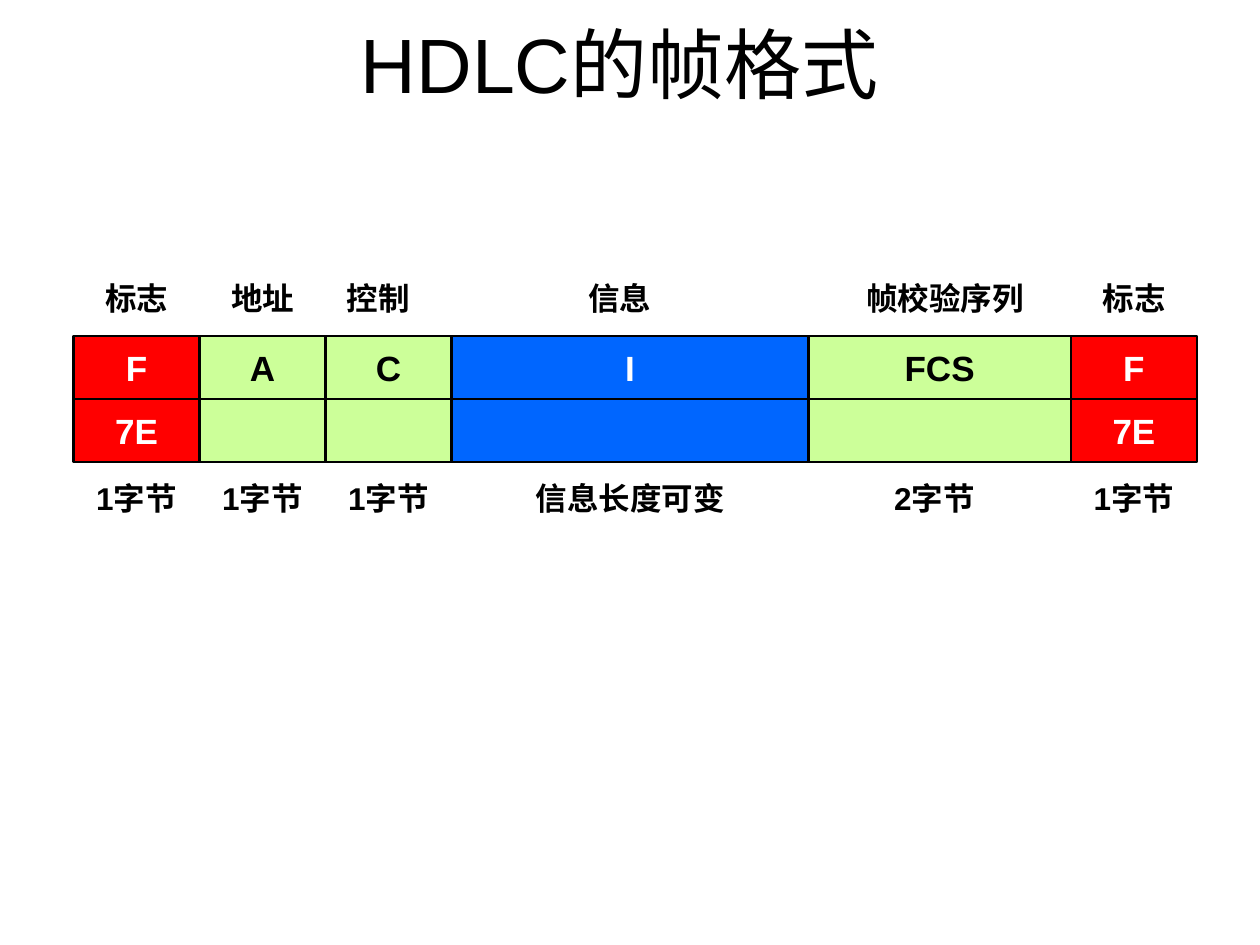
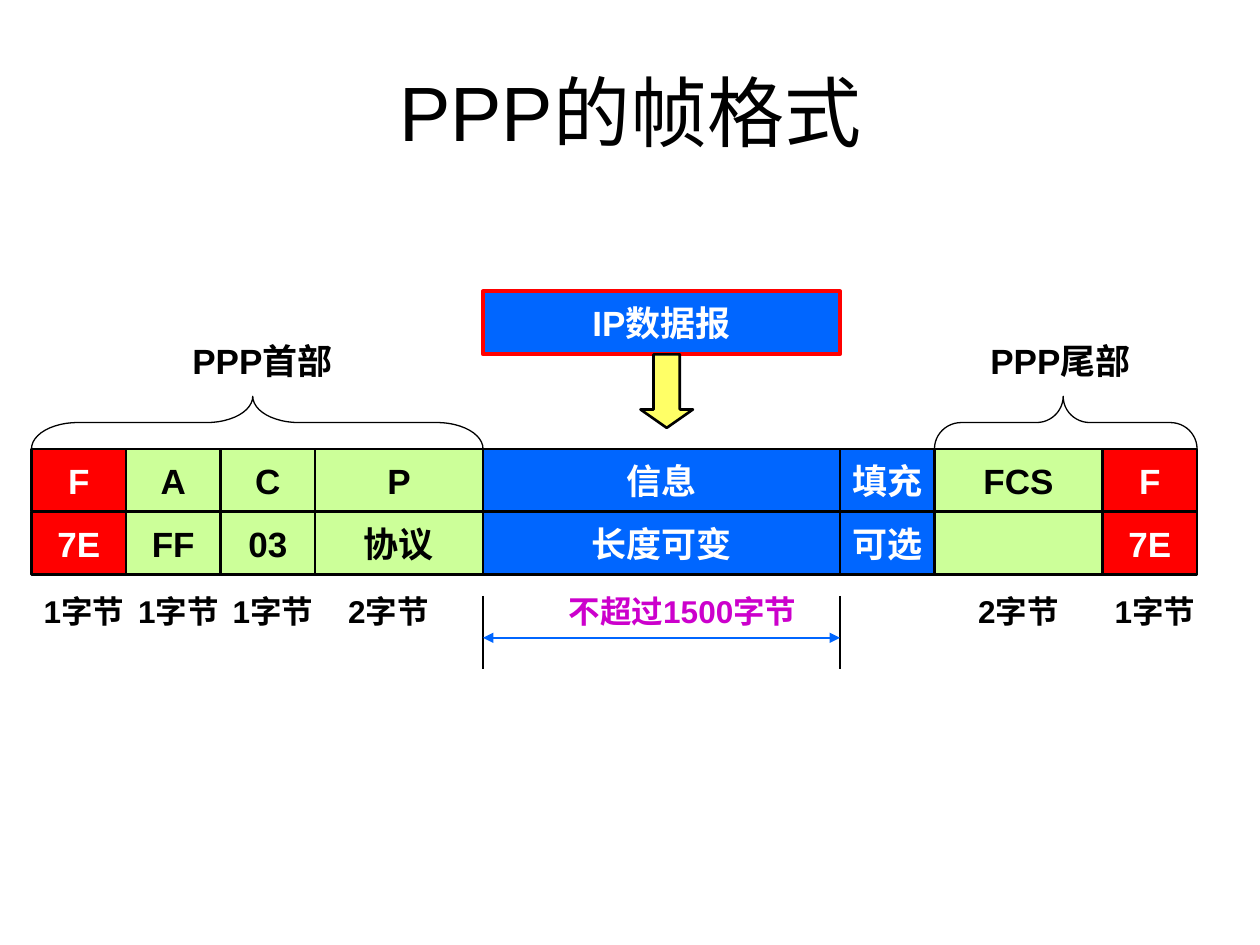
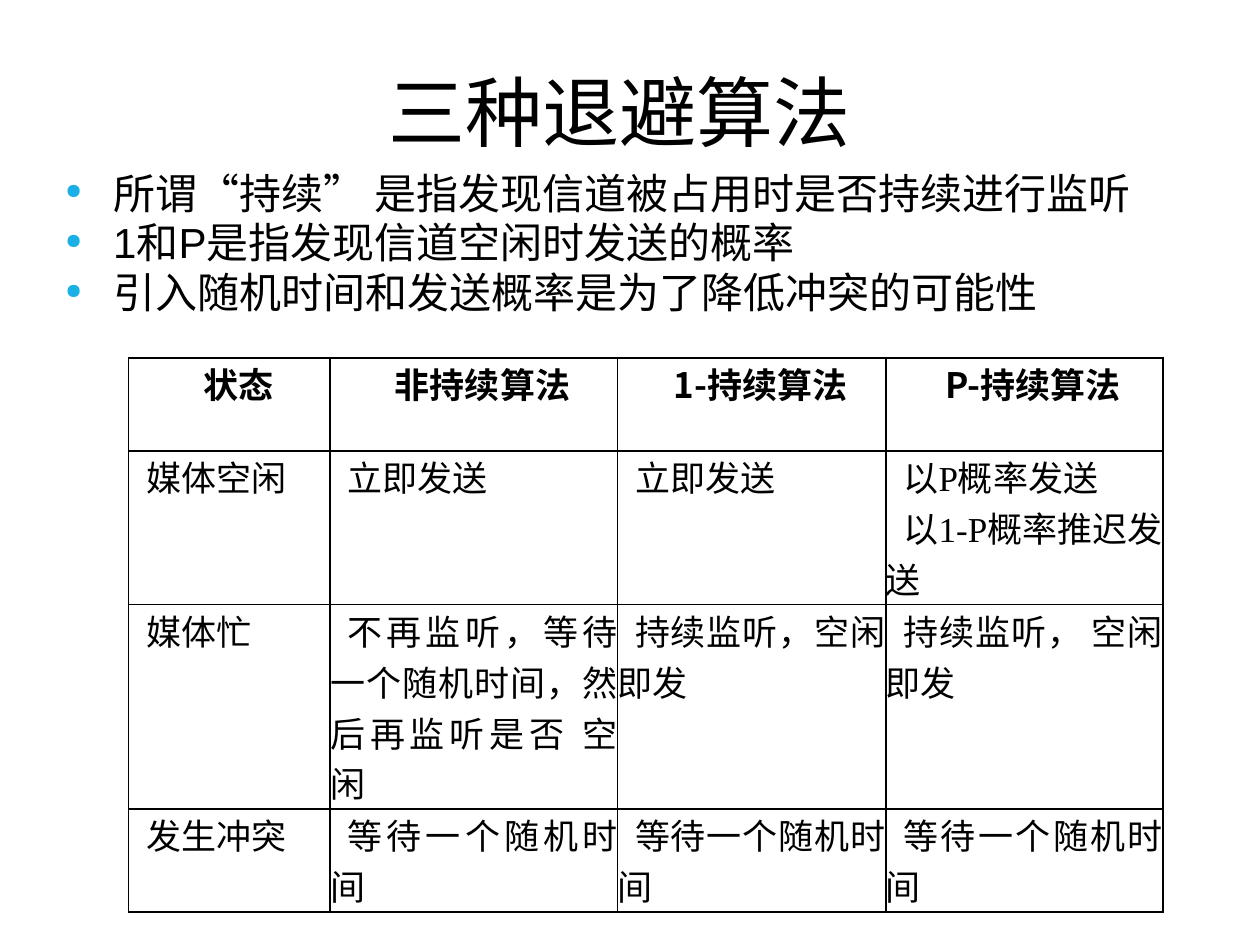
from dataclasses import dataclass

from lxml import etree
from pptx import Presentation
from pptx.dml.color import RGBColor
from pptx.enum.lang import MSO_LANGUAGE_ID
from pptx.enum.shapes import MSO_CONNECTOR, MSO_SHAPE
from pptx.enum.text import MSO_ANCHOR, PP_ALIGN
from pptx.oxml import parse_xml
from pptx.oxml.ns import nsdecls, qn
from pptx.util import Inches, Pt

CENTER, LEFT, JUSTIFY = PP_ALIGN.CENTER, PP_ALIGN.LEFT, PP_ALIGN.JUSTIFY
MIDDLE, TOP = MSO_ANCHOR.MIDDLE, MSO_ANCHOR.TOP
RECTANGLE, DOWN_ARROW, LEFT_BRACE = MSO_SHAPE.RECTANGLE, MSO_SHAPE.DOWN_ARROW, MSO_SHAPE.LEFT_BRACE
STRAIGHT = MSO_CONNECTOR.STRAIGHT
CHINESE = MSO_LANGUAGE_ID.SIMPLIFIED_CHINESE


@dataclass(frozen=True)
class Theme:
    black: RGBColor = RGBColor.from_string("000000")
    white: RGBColor = RGBColor.from_string("FFFFFF")
    red: RGBColor = RGBColor.from_string("FF0000")
    green: RGBColor = RGBColor.from_string("CCFF99")
    blue: RGBColor = RGBColor.from_string("0066FF")
    yellow: RGBColor = RGBColor.from_string("FFFF66")
    purple: RGBColor = RGBColor.from_string("CC00CC")
    bullet: str = "1AB0E5"
    sans: str = "Arial"
    serif: str = "Times New Roman"
    chinese: str = "Noto Sans CJK SC"
    title_size: int = 44
    body_size: int = 24
    field_size: int = 20
    label_size: int = 18


theme = Theme()
UNIT = Inches(1 / 12)  # the grid both frame diagrams are drawn on


def write(para, text, size=theme.label_size, bold=False, color=theme.black,
          font=theme.sans, east_asian=theme.sans, align=CENTER):
    """Add one formatted span to a paragraph."""
    para.alignment = align
    span = para.add_run()
    span.text = text
    span.font.size = Pt(size)
    span.font.bold = bold
    span.font.name = font
    span.font.color.rgb = color
    span.font.language_id = CHINESE
    etree.SubElement(span.font._element, qn("a:ea"), typeface=east_asian)


def draw(page, preset, left, top, width, height, fill=None, line=theme.black, weight=1.5, text=""):
    """Add a preset shape placed in grid units."""
    shape = page.shapes.add_shape(
        preset, *(round(length * UNIT) for length in (left, top, width, height)))
    shape.shadow.inherit = False
    if fill is None:
        shape.fill.background()
    else:
        shape.fill.solid()
        shape.fill.fore_color.rgb = fill
    shape.line.color.rgb = line
    shape.line.width = Pt(weight)
    if text:
        frame = shape.text_frame
        frame.word_wrap = False
        frame.vertical_anchor = MIDDLE
        write(frame.paragraphs[0], text, size=theme.field_size, bold=True,
              color=theme.black if fill == theme.green else theme.white)
    return shape


deck = Presentation()
deck.slide_width, deck.slide_height = Inches(10), Inches(7.5)

# Pages and titles: text, top and height in inches
pages = []
for text, top, height in [("HDLC的帧格式", 0, 1),
                          (" PPP的帧格式", 0.25, 1.25),
                          ("三种退避算法", 0.25, 1.25)]:
    page = deck.slides.add_slide(deck.slide_layouts[5])
    title = page.shapes.title
    title.left, title.top = Inches(0.42), Inches(top)
    title.width, title.height = Inches(9), Inches(height)
    title.text_frame.vertical_anchor = MIDDLE
    write(title.text_frame.paragraphs[0], text, size=theme.title_size)
    pages.append(page)
hdlc_page, ppp_page, backoff_page = pages

# Frame fields: width in grid units, colour, upper text, lower text
FIELD_HEIGHT = 6
HDLC_LEFT, HDLC_TOP = 7, 32
PPP_LEFT, PPP_TOP = 3, 42.75
hdlc_fields = [
    (12, theme.red, "F", "7E"),
    (12, theme.green, "A", ""),
    (12, theme.green, "C", ""),
    (34, theme.blue, "I", ""),
    (25, theme.green, "FCS", ""),
    (12, theme.red, "F", "7E"),
]
ppp_fields = [
    (9, theme.red, "F", "7E"),
    (9, theme.green, "A", "FF"),
    (9, theme.green, "C", "03"),
    (16, theme.green, "P", "协议"),
    (34, theme.blue, "信息", "长度可变"),
    (9, theme.blue, "填充", "可选"),
    (16, theme.green, "FCS", ""),
    (9, theme.red, "F", "7E"),
]
for page, left, top, fields in [(hdlc_page, HDLC_LEFT, HDLC_TOP, hdlc_fields),
                                (ppp_page, PPP_LEFT, PPP_TOP, ppp_fields)]:
    for width, fill, *texts in fields:
        for row, text in enumerate(texts):
            draw(page, RECTANGLE, left, top + row * FIELD_HEIGHT, width, FIELD_HEIGHT,
                 fill=fill, text=text)
        left += width

# Labels above and below the frames: text, left and width in grid units
label_rows = [
    (hdlc_page, HDLC_TOP - 6, theme.label_size,
     [("标志", 8, 10), ("地址", 20, 10), ("控制", 31, 10),
      ("信息", 54, 10), ("帧校验序列", 81, 18), ("标志", 103, 10)]),
    (hdlc_page, HDLC_TOP + 13, theme.label_size,
     [("1字节", 7, 12), ("1字节", 19, 12), ("1字节", 31, 12),
      ("信息长度可变", 47, 26), ("2字节", 83, 12), ("1字节", 102, 12)]),
    (ppp_page, PPP_TOP - 11, theme.field_size,
     [("PPP首部", 14, 22), ("PPP尾部", 90, 22)]),
    (ppp_page, PPP_TOP + 13, theme.label_size,
     [("1字节", 2, 12), ("1字节", 11, 12), ("1字节", 20, 12), ("2字节", 31, 12),
      ("不超过1500字节", 52, 26), ("2字节", 91, 12), ("1字节", 104, 12)]),
]
for page, top, size, labels in label_rows:
    for text, left, width in labels:
        box = page.shapes.add_textbox(left * UNIT, round(top * UNIT), width * UNIT, Inches(0.4))
        box.text_frame.word_wrap = True
        write(box.text_frame.paragraphs[0], text, size=size, bold=True,
              color=theme.purple if text.startswith("不超过") else theme.black)

# Datagram dropping into the information field
INFO_LEFT, INFO_RIGHT = 46, 80
draw(ppp_page, RECTANGLE, INFO_LEFT, PPP_TOP - 15, INFO_RIGHT - INFO_LEFT, FIELD_HEIGHT,
     fill=theme.blue, line=theme.red, weight=2.25, text="IP数据报")
arrow = draw(ppp_page, DOWN_ARROW, 61, PPP_TOP - 9, 5, 7, fill=theme.yellow)
arrow.adjustments[0], arrow.adjustments[1] = 0.5, 0.35

# Braces over header and trailer, turned to point upwards
BRACE_DEPTH = 5
for left, span_width, curve in [(PPP_LEFT, 43, 0.88), (89, 25, 0.51)]:
    brace = draw(ppp_page, LEFT_BRACE, left + (span_width - BRACE_DEPTH) / 2,
                 PPP_TOP - (span_width + BRACE_DEPTH) / 2, BRACE_DEPTH, span_width, weight=0.75)
    brace.rotation = 90
    brace.adjustments[0], brace.adjustments[1] = curve, 0.51

# Dimension line under the information field
MARK_TOP, MARK_BOTTOM, MEASURE = PPP_TOP + 14, PPP_TOP + 21, PPP_TOP + 18
for start_x, start_y, end_x, end_y, color in [
        (INFO_LEFT, MARK_TOP, INFO_LEFT, MARK_BOTTOM, theme.black),
        (INFO_RIGHT, MARK_TOP, INFO_RIGHT, MARK_BOTTOM, theme.black),
        (INFO_LEFT, MEASURE, INFO_RIGHT, MEASURE, theme.blue)]:
    line = ppp_page.shapes.add_connector(
        STRAIGHT, *(round(length * UNIT) for length in (start_x, start_y, end_x, end_y)))
    line.line.color.rgb = color
    line.line.width = Pt(1.5)
    etree.SubElement(line._element.spPr, qn("a:effectLst"))
    if start_y == end_y:
        for end in ("a:headEnd", "a:tailEnd"):
            etree.SubElement(line.line._get_or_add_ln(), qn(end), type="triangle")

# Bulleted remarks on the back-off algorithms
box = backoff_page.shapes.add_textbox(Inches(0.42), Inches(1.33), Inches(9), Inches(1.5))
box.text_frame.word_wrap = True
remarks = ["所谓“持续” 是指发现信道被占用时是否持续进行监听",
           "1和P是指发现信道空闲时发送的概率",
           "引入随机时间和发送概率是为了降低冲突的可能性"]
for index, text in enumerate(remarks):
    para = box.text_frame.add_paragraph() if index else box.text_frame.paragraphs[0]
    properties = para._p.get_or_add_pPr()
    properties.set("marL", str(Inches(0.38)))
    properties.set("indent", str(-Inches(0.38)))
    bullet_color = etree.SubElement(properties, qn("a:buClr"))
    etree.SubElement(bullet_color, qn("a:srgbClr"), val=theme.bullet)
    etree.SubElement(properties, qn("a:buSzPct"), val="50000")
    etree.SubElement(properties, qn("a:buChar"), char="●")
    para.line_spacing = 0.88
    if index:
        para.space_before = Pt(3)
    write(para, text, size=theme.body_size, east_asian=theme.chinese, align=LEFT)

# Comparison table; each cell is a list of paragraphs, each row fits its longest cell
column_widths = [1.6, 2.28, 2.13, 2.2]
row_heights = [0.74, 1.22, 1.62, 0.82]
wait = ["等待一个随机时间"]
cells = [
    [["状态"], ["非持续算法"], ["1-持续算法"], ["P-持续算法"]],
    [["媒体空闲"], ["立即发送"], ["立即发送"], ["以P概率发送", "以1-P概率推迟发送"]],
    [["媒体忙"], ["不再监听，等待一个随机时间，然后再监听是否 空闲"],
     ["持续监听，空闲即发"], ["持续监听， 空闲即发"]],
    [["发生冲突"], wait, wait, wait],
]
table = backoff_page.shapes.add_table(
    len(row_heights), len(column_widths), Inches(1.02), Inches(2.84),
    Inches(sum(column_widths)), Inches(sum(row_heights))).table
table.first_row = table.horz_banding = False
for column, width in zip(table.columns, column_widths):
    column.width = Inches(width)
for row, height, row_cells in zip(table.rows, row_heights, cells):
    row.height = Inches(height)
    header = row_cells is cells[0]
    for cell, texts in zip(row.cells, row_cells):
        cell.margin_left = cell.margin_right = cell.margin_top = cell.margin_bottom = 0
        cell.vertical_anchor = TOP
        cell.fill.background()
        for position, side in enumerate(("lnL", "lnR", "lnT", "lnB")):
            cell._tc.tcPr.insert(position, parse_xml(
                f'<a:{side} {nsdecls("a")} w="{Pt(1)}"><a:solidFill>'
                f'<a:srgbClr val="{theme.black}"/></a:solidFill></a:{side}>'))
        for index, text in enumerate(texts):
            para = cell.text_frame.add_paragraph() if index else cell.text_frame.paragraphs[0]
            para._p.get_or_add_pPr().set("indent", str(Inches(0.14)))
            write(para, text, size=theme.field_size, bold=header,
                  font=theme.chinese if header else theme.serif,
                  east_asian=theme.chinese, align=CENTER if header else JUSTIFY)

deck.save("out.pptx")
